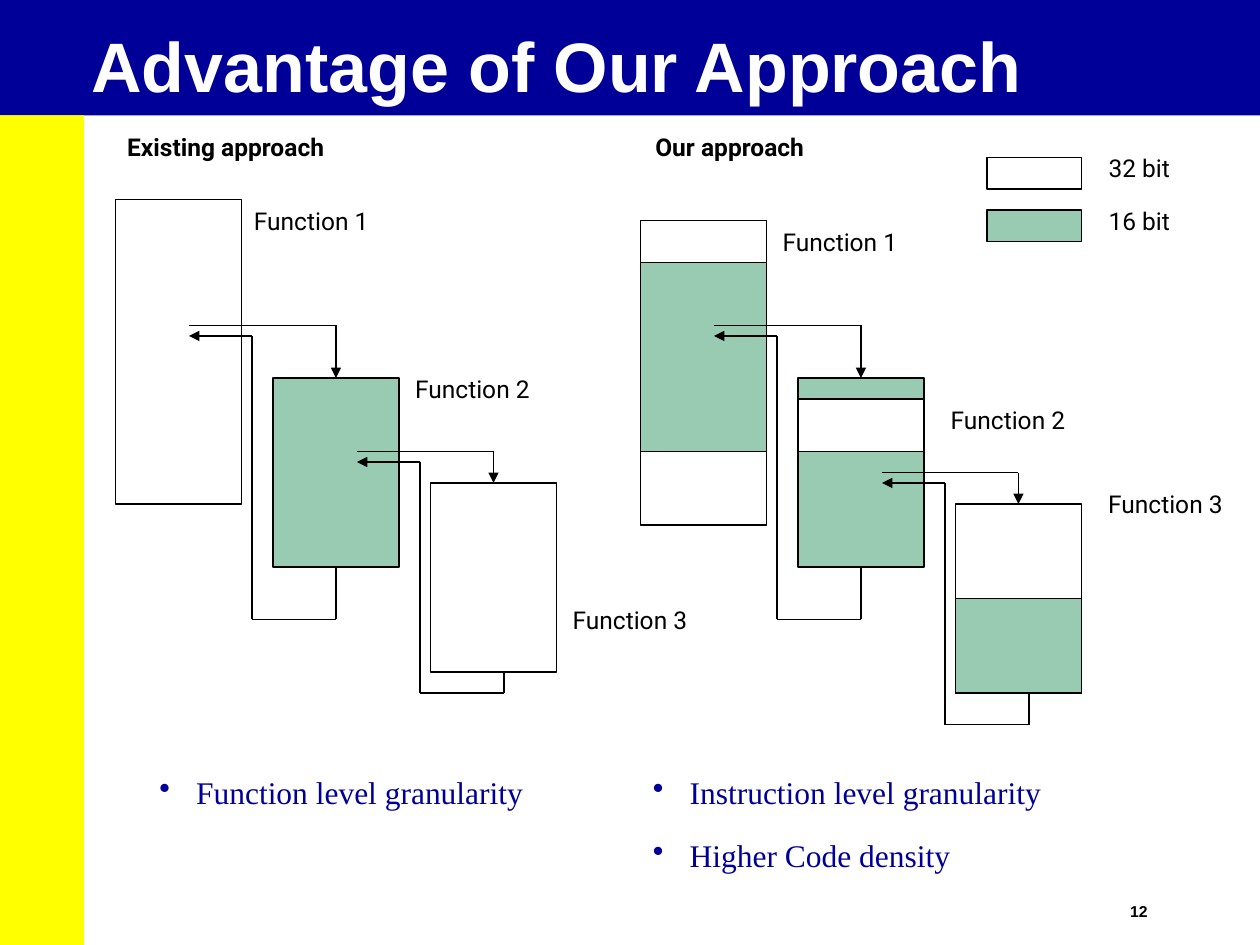
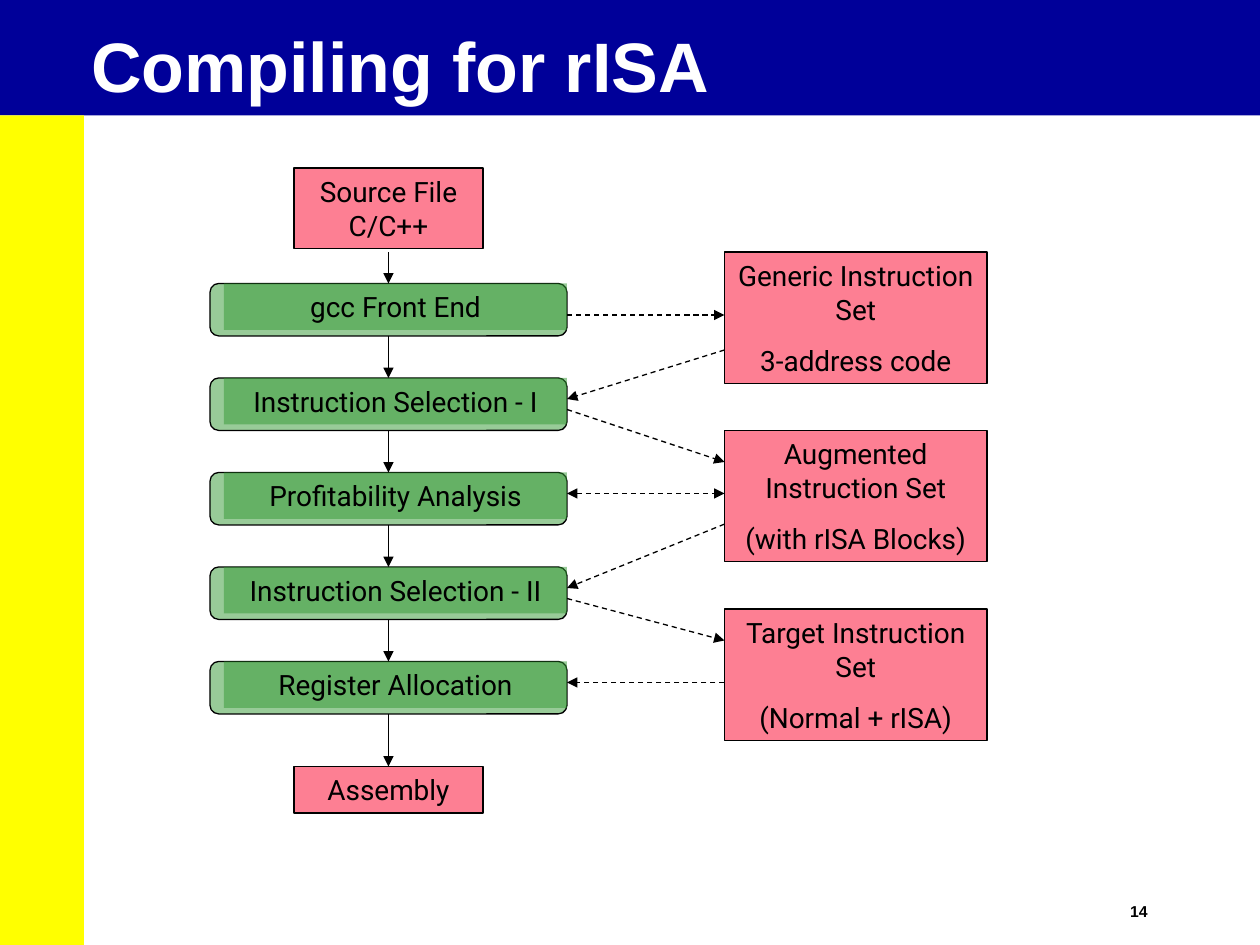
from dataclasses import dataclass
from itertools import pairwise
from typing import Optional

from lxml import etree
from pptx import Presentation
from pptx.dml.color import RGBColor
from pptx.enum.dml import MSO_LINE
from pptx.enum.shapes import MSO_CONNECTOR, MSO_SHAPE
from pptx.enum.text import MSO_ANCHOR, MSO_AUTO_SIZE, PP_ALIGN
from pptx.oxml.ns import qn
from pptx.util import Pt

RECT = MSO_SHAPE.RECTANGLE
ROUNDED = MSO_SHAPE.FLOWCHART_ALTERNATE_PROCESS
STRAIGHT = MSO_CONNECTOR.STRAIGHT
DASH = MSO_LINE.DASH
TOP, MIDDLE = MSO_ANCHOR.TOP, MSO_ANCHOR.MIDDLE
LEFT, CENTER = PP_ALIGN.LEFT, PP_ALIGN.CENTER
NO_AUTOFIT = MSO_AUTO_SIZE.NONE

NAVY, YELLOW, WHITE, BLACK = "000099", "FFFF00", "FFFFFF", "000000"
TEAL, GREEN, RED = "339966", "339933", "FC0128"
HEAD_FONT, LABEL_FONT, BULLET_FONT = "Arial", "Roboto", "Times New Roman"

Point = tuple[float, float]


@dataclass(frozen=True)
class Box:
    x: float
    y: float
    w: float
    h: float
    fill: Optional[str] = None
    opacity: int = 100
    line: Optional[str] = BLACK
    kind: int = RECT


@dataclass(frozen=True)
class Label:
    text: str
    x: float
    y: float
    w: float = 108
    h: float = 24
    size: float = 14
    font: str = LABEL_FONT
    color: str = BLACK
    bold: bool = False
    align: int = CENTER
    bullet: bool = False


@dataclass(frozen=True)
class Call:
    start: Point
    entry: Point
    exit: Point
    return_x: float
    return_y: float


@dataclass(frozen=True)
class Arrow:
    start: Point
    end: Point
    both: bool = False


def rgb(color: str) -> RGBColor:
    return RGBColor.from_string(color)


def add_box(s, box: Box):
    sp = s.shapes.add_shape(box.kind, Pt(box.x), Pt(box.y), Pt(box.w), Pt(box.h))
    sp.shadow.inherit = False
    if box.fill:
        sp.fill.solid()
        sp.fill.fore_color.rgb = rgb(box.fill)
        if box.opacity < 100:
            clr = sp._element.spPr.find(qn("a:solidFill"))[0]
            etree.SubElement(clr, qn("a:alpha"), val=str(box.opacity * 1000))
    else:
        sp.fill.background()
    if box.line:
        sp.line.color.rgb = rgb(box.line)
        sp.line.width = Pt(0.75)
    else:
        sp.line.fill.background()
    return sp


def write(tf, text: str, size: float, font: str, color: str,
          bold: bool = False, align: int = CENTER) -> None:
    tf.word_wrap = True
    tf.text = text
    for i, p in enumerate(tf.paragraphs):
        p.alignment = align
        if i:
            p.space_before = Pt(10)
        for r in p.runs:
            r.font.size = Pt(size)
            r.font.name = font
            r.font.bold = bold
            r.font.color.rgb = rgb(color)


def set_margins(tf, side: float, edge: float) -> None:
    tf.margin_left = tf.margin_right = Pt(side)
    tf.margin_top = tf.margin_bottom = Pt(edge)


def add_label(s, label: Label):
    sp = s.shapes.add_textbox(Pt(label.x), Pt(label.y), Pt(label.w), Pt(label.h))
    tf = sp.text_frame
    write(tf, label.text, label.size, label.font, label.color, label.bold, label.align)
    if label.bullet:
        pPr = tf.paragraphs[0]._p.get_or_add_pPr()
        pPr.set("marL", str(Pt(21)))
        pPr.set("indent", str(-Pt(21)))
        etree.SubElement(pPr, qn("a:buChar"), char="•")
    return sp


def side_index(sp, point: Point) -> Optional[int]:
    x, y = Pt(point[0]), Pt(point[1])
    mid_x, mid_y = sp.left + sp.width // 2, sp.top + sp.height // 2
    sides = [(mid_x, sp.top), (sp.left, mid_y),
             (mid_x, sp.top + sp.height), (sp.left + sp.width, mid_y)]
    return sides.index((x, y)) if (x, y) in sides else None


def add_line(s, start: Point, end: Point, boxes: list, head: bool = False,
             tail: bool = False, dashed: bool = False) -> None:
    cxn = s.shapes.add_connector(STRAIGHT, *map(Pt, start + end))
    cxn.line.color.rgb = rgb(BLACK)
    cxn.line.width = Pt(0.75)
    if dashed:
        cxn.line.dash_style = DASH
    spPr = cxn._element.spPr
    ln = spPr.find(qn("a:ln"))
    for tag, wanted in (("a:headEnd", head), ("a:tailEnd", tail)):
        if wanted:
            etree.SubElement(ln, qn(tag), type="triangle")
    etree.SubElement(spPr, qn("a:effectLst"))
    for point, connect in ((start, cxn.begin_connect), (end, cxn.end_connect)):
        for sp in boxes:
            side = side_index(sp, point)
            if side is not None:
                connect(sp, side)
                break


def add_route(s, points: list[Point], boxes: list) -> None:
    for start, end in pairwise(points):
        add_line(s, start, end, boxes, tail=end == points[-1])


def add_call(s, call: Call, boxes: list) -> None:
    x, y = call.start
    add_route(s, [call.start, (call.entry[0], y), call.entry], boxes)
    add_route(s, [call.exit, (call.exit[0], call.return_y),
                  (call.return_x, call.return_y), (call.return_x, y + 6), (x, y + 6)], boxes)


def add_base(prs, title: str, number: int, title_width: float):
    s = prs.slides.add_slide(prs.slide_layouts[5])
    add_box(s, Box(0, 0, 720, 66, NAVY, line=None))
    add_box(s, Box(0, 66, 48, 474, YELLOW, line=None))
    sp = s.shapes.title
    s.shapes._spTree.append(sp._element)
    sp.left, sp.top, sp.width, sp.height = Pt(48), Pt(18), Pt(title_width), Pt(45)
    sp.fill.solid()
    sp.fill.fore_color.rgb = rgb(NAVY)
    tf = sp.text_frame
    write(tf, title, 40, HEAD_FONT, WHITE, True, LEFT)
    tf.auto_size = NO_AUTOFIT
    tf.vertical_anchor = TOP
    tf.paragraphs[0].line_spacing = 0.87
    set_margins(tf, 4.3, 1.4)
    page = add_label(s, Label(str(number), 641.5, 514, 52, 14, 9, HEAD_FONT,
                              bold=True, align=LEFT))
    set_margins(page.text_frame, 4.3, 1.4)
    return s


def build_advantage(prs) -> None:
    s = add_base(prs, "Advantage of Our Approach", 12, 672)
    boxes = [add_box(s, box) for box in (
        Box(66, 114, 72, 174),
        Box(156, 216, 72, 108, TEAL, 50),
        Box(246, 276, 72, 108, WHITE),
        Box(366, 126, 72, 174),
        Box(366, 150, 72, 108, TEAL, 50),
        Box(456, 216, 72, 108, TEAL, 50),
        Box(456, 228, 72, 30, WHITE),
        Box(546, 288, 72, 108, WHITE),
        Box(546, 342, 72, 54, TEAL, 50),
        Box(564, 90, 54, 18, WHITE),
        Box(564, 120, 54, 18, TEAL, 50),
    )]
    for call in (
        Call((108, 186), (192, 216), (192, 324), 144, 354),
        Call((204, 258), (282, 276), (288, 384), 240, 396),
        Call((408, 186), (492, 216), (492, 324), 444, 354),
        Call((504, 270), (582, 288), (588, 396), 540, 414),
    ):
        add_call(s, call, boxes)
    for label in (
        Label("Existing approach", 48, 72, 162, bold=True),
        Label("Our approach", 336, 72, 162, bold=True),
        Label("32 bit", 624, 84, 54),
        Label("16 bit", 624, 114, 54),
        Label("Function 1", 138, 114, align=LEFT),
        Label("Function 2", 216, 210),
        Label("Function 3", 306, 342),
        Label("Function 1", 426, 126),
        Label("Function 2", 522, 228),
        Label("Function 3", 612, 276),
    ):
        add_label(s, label)
    for text, x, y in (("Function level granularity", 84, 438),
                       ("Instruction level granularity", 366, 438),
                       ("Higher Code density", 366, 474)):
        add_label(s, Label(text, x, y, 252, 29, 18, BULLET_FONT, NAVY,
                           align=LEFT, bullet=True))


def add_text_box(s, box: Box, text: str):
    sp = add_box(s, box)
    write(sp.text_frame, text, 16, LABEL_FONT, BLACK)
    sp.text_frame.vertical_anchor = MIDDLE
    return sp


def build_compiling(prs) -> None:
    s = add_base(prs, "Compiling for rISA", 14, 630)
    boxes = [add_text_box(s, Box(168, y, 108, h, RED, 50), text)
             for text, y, h in (("Source File C/C++", 96, 46), ("Assembly", 438, 26.6))]
    phases = ("gcc Front End", "Instruction Selection - I", "Profitability Analysis",
              "Instruction Selection - II", "Register Allocation")
    phase_tops = [162 + 54 * i for i in range(len(phases))]
    for text, y in zip(phases, phase_tops):
        boxes.append(add_box(s, Box(120, y, 204, 30, GREEN, 50, kind=ROUNDED)))
        add_text_box(s, Box(128, y, 196, 26.6, GREEN, 50, None), text)
    code_forms = ("Generic Instruction Set\n3-address code",
                  "Augmented Instruction Set\n(with rISA Blocks)",
                  "Target Instruction Set\n(Normal + rISA)")
    for i, text in enumerate(code_forms):
        boxes.append(add_text_box(s, Box(414, 144 + 102 * i, 150, 75, RED, 50), text))

    starts = [144] + [y + 30 for y in phase_tops]
    for start, end in zip(starts, phase_tops + [438]):
        add_line(s, (222, start), (222, end), boxes, tail=True)
    for arrow in (
        Arrow((324, 180), (414, 180)),
        Arrow((414, 200), (324, 228)),
        Arrow((324, 234), (414, 264)),
        Arrow((324, 282), (414, 282), both=True),
        Arrow((414, 299.5), (324, 336)),
        Arrow((324, 342), (414, 366)),
        Arrow((414, 390), (324, 390)),
    ):
        add_line(s, arrow.start, arrow.end, boxes, arrow.both, True, True)


def main() -> None:
    prs = Presentation()
    prs.slide_width, prs.slide_height = Pt(720), Pt(540)
    build_advantage(prs)
    build_compiling(prs)
    prs.save("out.pptx")


if __name__ == "__main__":
    main()
